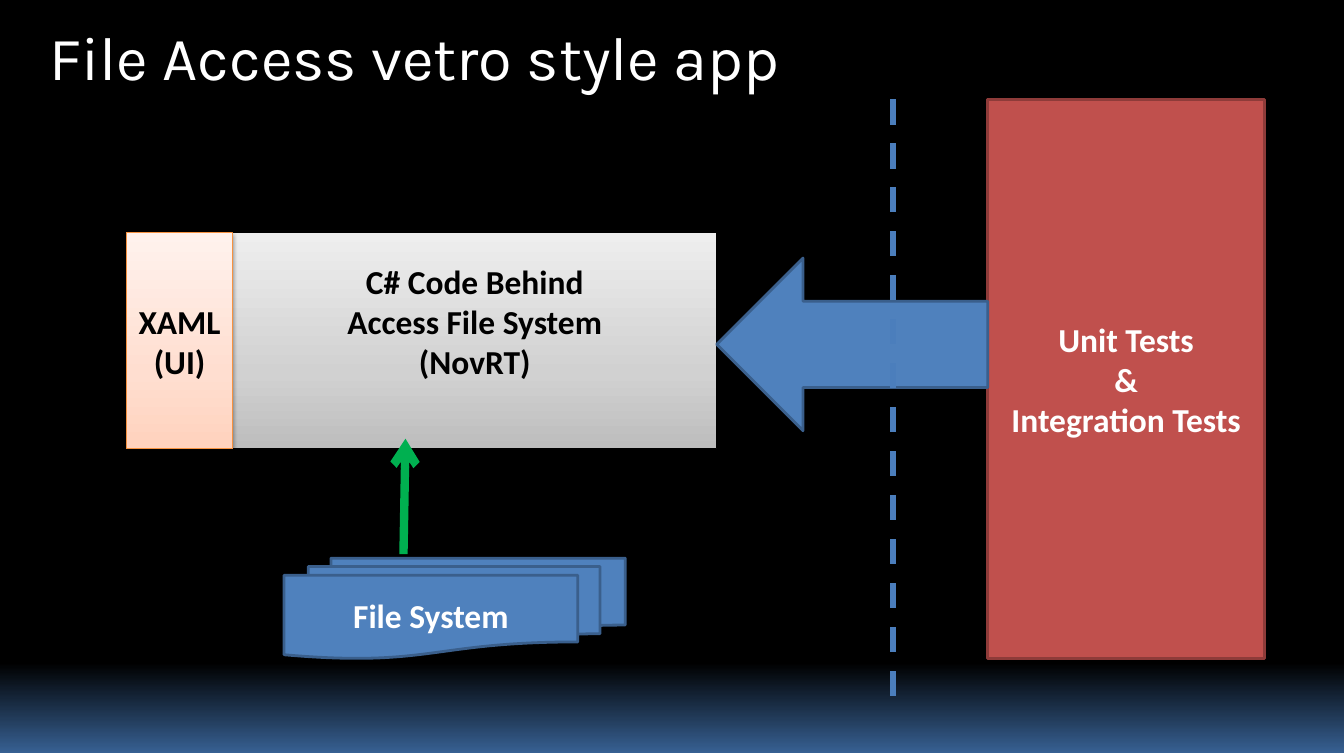
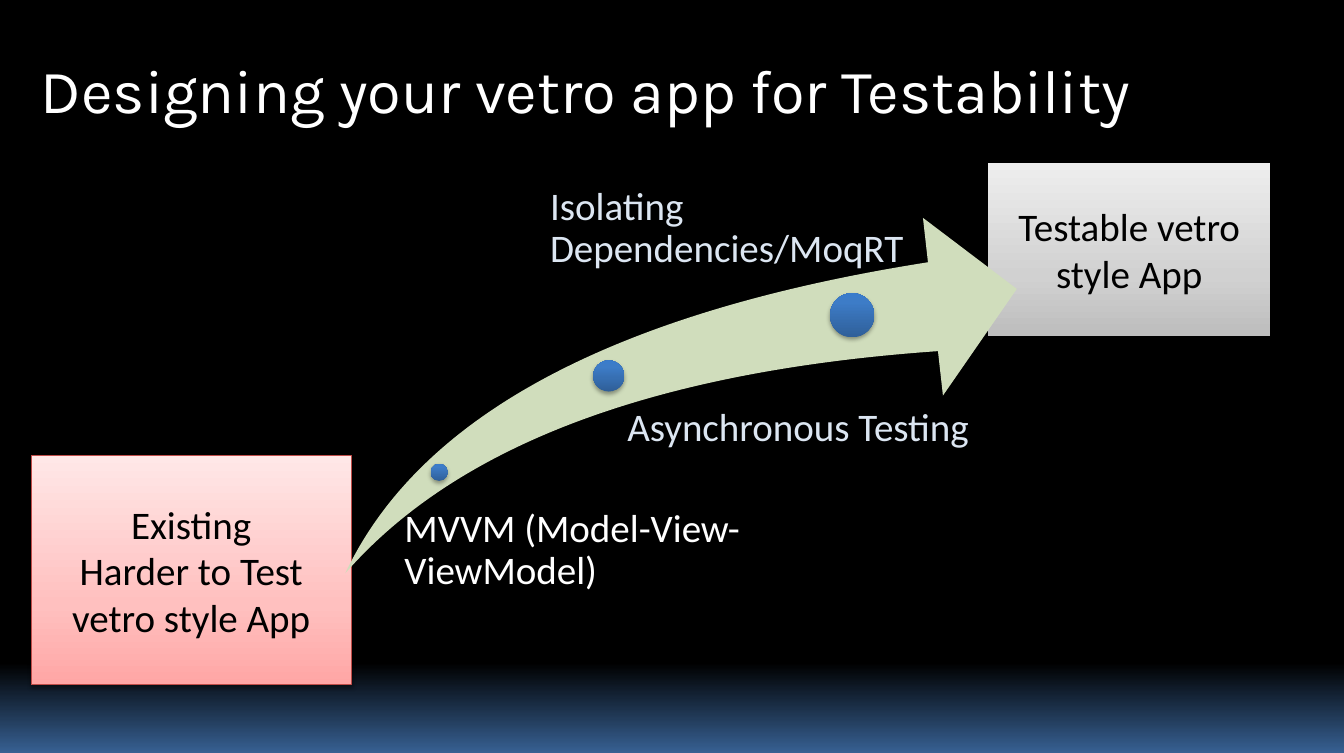
from copy import deepcopy
from dataclasses import dataclass
from typing import Optional, Union

from lxml.etree import SubElement
from pptx import Presentation
from pptx.dml.color import RGBColor
from pptx.enum.dml import MSO_LINE
from pptx.enum.shapes import MSO_CONNECTOR, MSO_SHAPE as Geo
from pptx.enum.text import MSO_ANCHOR, PP_ALIGN
from pptx.oxml.ns import qn
from pptx.util import Pt

PX = 9144  # EMU per px, 100 px to the inch
SLIDE_W, SLIDE_H = 1339, 750

BLACK = RGBColor(0x00, 0x00, 0x00)
WHITE = RGBColor(0xFF, 0xFF, 0xFF)
NAVY = RGBColor(0x37, 0x60, 0x92)
PALE_BLUE = RGBColor(0xDC, 0xE6, 0xF2)
BLUE = RGBColor(0x4F, 0x81, 0xBD)
BLUE_EDGE = RGBColor(0x3A, 0x5F, 0x8C)
BLUE_DASH = RGBColor(0x4B, 0x7E, 0xBC)
RED = RGBColor(0xC0, 0x50, 0x4D)
RED_EDGE = RGBColor(0x8E, 0x3B, 0x39)
PINK_EDGE = RGBColor(0xBF, 0x4C, 0x48)
ORANGE = RGBColor(0xF6, 0x92, 0x40)
GREEN = RGBColor(0x00, 0xB0, 0x50)
PALE_GREEN = RGBColor(0xD0, 0xDD, 0xBC)

TITLE_FONT, BODY_FONT = "Karla", "Calibri"

Gradient = tuple[tuple[float, RGBColor], ...]


def soft(bottom: str, middle: str, top: str, bend: float = 0.35) -> Gradient:
    """Three-stop gradient that rises from the bottom edge."""
    return tuple((pos, RGBColor.from_string(rgb))
                 for pos, rgb in ((0, bottom), (bend, middle), (1, top)))


BACKDROP: Gradient = ((0.88, BLACK), (1, NAVY))
GRAY = soft("BDBDBD", "D1D1D1", "EEEEEE")
PEACH = soft("FFD2BD", "FFDED0", "FFF2ED")
PINK = soft("FFA6A5", "FFC0BF", "FFE7E7")
BALL = soft("2F5F99", "3D7CC7", "3A7CCB", bend=0.8)


@dataclass(frozen=True)
class Block:
    x: int
    y: int
    w: int
    h: int
    fill: Union[RGBColor, Gradient]
    edge: Optional[RGBColor] = None
    edge_pt: float = 0.75
    lines: tuple[str, ...] = ()
    size: int = 24
    bold: bool = True
    color: RGBColor = BLACK
    geo: Geo = Geo.RECTANGLE
    rotation: int = 0
    adjust: tuple[float, ...] = ()
    shadow_alpha: int = 0
    foot: int = 5  # bottom inset


@dataclass(frozen=True)
class Label:
    x: int
    y: int
    w: int
    h: int
    inset: int
    text: str
    color: RGBColor = PALE_BLUE


@dataclass(frozen=True)
class Line:
    x1: int
    y1: int
    x2: int
    y2: int
    color: RGBColor
    width: float
    dashed: bool = False
    arrow: bool = False


def paint_gradient(fill, root, stops: Gradient, angle: int) -> None:
    fill.gradient()
    fill.gradient_angle = angle
    gs_lst = root.find(".//" + qn("a:gsLst"))
    while len(gs_lst) < len(stops):
        gs_lst.append(deepcopy(gs_lst[0]))
    for stop, (pos, rgb) in zip(fill.gradient_stops, stops):
        stop.position = pos
        stop.color.rgb = rgb


def set_font(p, name: str, size: int, color: RGBColor, bold: bool = False) -> None:
    p.font.name = name
    p.font.size = Pt(size)
    p.font.bold = bold
    p.font.color.rgb = color


def add_shadow(sp, alpha: int) -> None:
    effects = sp._element.spPr.find(qn("a:effectLst"))
    outer = SubElement(effects, qn("a:outerShdw"), blurRad=str(Pt(3.1)),
                       dist=str(Pt(1.6)), dir="5400000", rotWithShape="0")
    rgb = SubElement(outer, qn("a:srgbClr"), val=str(BLACK))
    SubElement(rgb, qn("a:alpha"), val=str(alpha * 1000))


def add_block(slide, b: Block) -> None:
    sp = slide.shapes.add_shape(b.geo, b.x * PX, b.y * PX, b.w * PX, b.h * PX)
    sp.rotation = b.rotation
    for i, value in enumerate(b.adjust):
        sp.adjustments[i] = value
    if isinstance(b.fill, RGBColor):
        sp.fill.solid()
        sp.fill.fore_color.rgb = b.fill
    else:
        paint_gradient(sp.fill, sp._element, b.fill, 90)
    if b.edge is None:
        sp.line.fill.background()
    else:
        sp.line.color.rgb = b.edge
        sp.line.width = Pt(b.edge_pt)
    sp.shadow.inherit = False
    if b.shadow_alpha:
        add_shadow(sp, b.shadow_alpha)
    if not b.lines:
        return
    tf = sp.text_frame
    tf.word_wrap = True
    tf.vertical_anchor = MSO_ANCHOR.MIDDLE
    tf.margin_bottom = b.foot * PX
    tf.text = "\n".join(b.lines)
    for p in tf.paragraphs:
        p.alignment = PP_ALIGN.CENTER
        set_font(p, BODY_FONT, b.size, b.color, b.bold)


def add_label(slide, label: Label) -> None:
    box = slide.shapes.add_textbox(label.x * PX, label.y * PX, label.w * PX, label.h * PX)
    tf = box.text_frame
    tf.word_wrap = True
    tf.margin_left = label.inset * PX
    tf.margin_top = tf.margin_right = tf.margin_bottom = 0
    p = tf.paragraphs[0]
    p.text = label.text
    p.line_spacing = 0.9
    set_font(p, BODY_FONT, 28, label.color)


def add_line(slide, line: Line) -> None:
    cxn = slide.shapes.add_connector(MSO_CONNECTOR.STRAIGHT, line.x1 * PX, line.y1 * PX,
                                     line.x2 * PX, line.y2 * PX)
    cxn.line.color.rgb = line.color
    cxn.line.width = Pt(line.width)
    if line.dashed:
        cxn.line.dash_style = MSO_LINE.DASH
    sp_pr = cxn._element.spPr
    if line.arrow:
        SubElement(sp_pr.find(qn("a:ln")), qn("a:tailEnd"), type="arrow")
    SubElement(sp_pr, qn("a:effectLst"))


def add_title_slide(prs, title: str, x: int, y: int):
    slide = prs.slides.add_slide(prs.slide_layouts[6])
    tf = slide.shapes.add_textbox(x * PX, y * PX, 1138 * PX, 100 * PX).text_frame
    tf.word_wrap = True
    tf.vertical_anchor = MSO_ANCHOR.MIDDLE
    p = tf.paragraphs[0]
    p.text = title
    set_font(p, TITLE_FONT, 44, WHITE)
    return slide


DRAW = {Block: add_block, Label: add_label, Line: add_line}

# Slide 1: app, file system and tests
FILE_ACCESS = (
    Block(232, 232, 482, 215, GRAY, BLACK, shadow_alpha=38, foot=45,
          lines=("C# Code Behind", "Access File System", "(NovRT)")),
    Block(126, 232, 106, 215, PEACH, ORANGE, shadow_alpha=38, lines=("XAML", "(UI)")),
    Block(984, 99, 276, 557, RED, RED_EDGE, 2, color=WHITE,
          lines=("Unit Tests", "&", "Integration Tests")),
    Block(763, 208, 172, 270, BLUE, BLUE_EDGE, 2, geo=Geo.DOWN_ARROW, rotation=90),
    Block(283, 556, 340, 100, BLUE, BLUE_EDGE, 2, color=WHITE,
          lines=("File System",), geo=Geo.FLOWCHART_MULTIDOCUMENT),
    Line(402, 552, 404, 437, GREEN, 6, arrow=True),
    Line(890, 99, 890, 698, BLUE_DASH, 4.5, dashed=True),
)

# Slide 2: steps along the rising arrow
TESTABILITY = (
    Block(31, 454, 319, 228, PINK, PINK_EDGE, size=28, bold=False, shadow_alpha=38,
          lines=("Existing", "Harder to Test", "vetro style App")),
    Block(984, 162, 282, 173, GRAY, BLACK, size=28, bold=False, shadow_alpha=38,
          lines=("Testable vetro style App",)),
    Block(344, 217, 669, 354, PALE_GREEN, geo=Geo.SWOOSH_ARROW, adjust=(0.25, 0.25)),
    *(Block(x, y, d, d, BALL, geo=Geo.OVAL, shadow_alpha=35)
      for x, y, d in ((429, 462, 17), (591, 359, 31), (827, 292, 44))),
    Label(394, 507, 506, 121, 9, "MVVM (Model-View-ViewModel)", WHITE),
    Label(608, 406, 393, 228, 17, "Asynchronous Testing"),
    Label(525, 186, 428, 291, 23, "Isolating Dependencies/MoqRT"),
)


def main() -> None:
    prs = Presentation()
    prs.slide_width, prs.slide_height = SLIDE_W * PX, SLIDE_H * PX

    # Shared backdrop
    master = prs.slide_master
    paint_gradient(master.background.fill, master.element, BACKDROP, 270)

    for title, x, y, parts in (
        ("File Access vetro style app", 39, 6, FILE_ACCESS),
        ("Designing your vetro app for Testability", 31, 39, TESTABILITY),
    ):
        slide = add_title_slide(prs, title, x, y)
        for part in parts:
            DRAW[type(part)](slide, part)
    prs.save("out.pptx")


if __name__ == "__main__":
    main()
